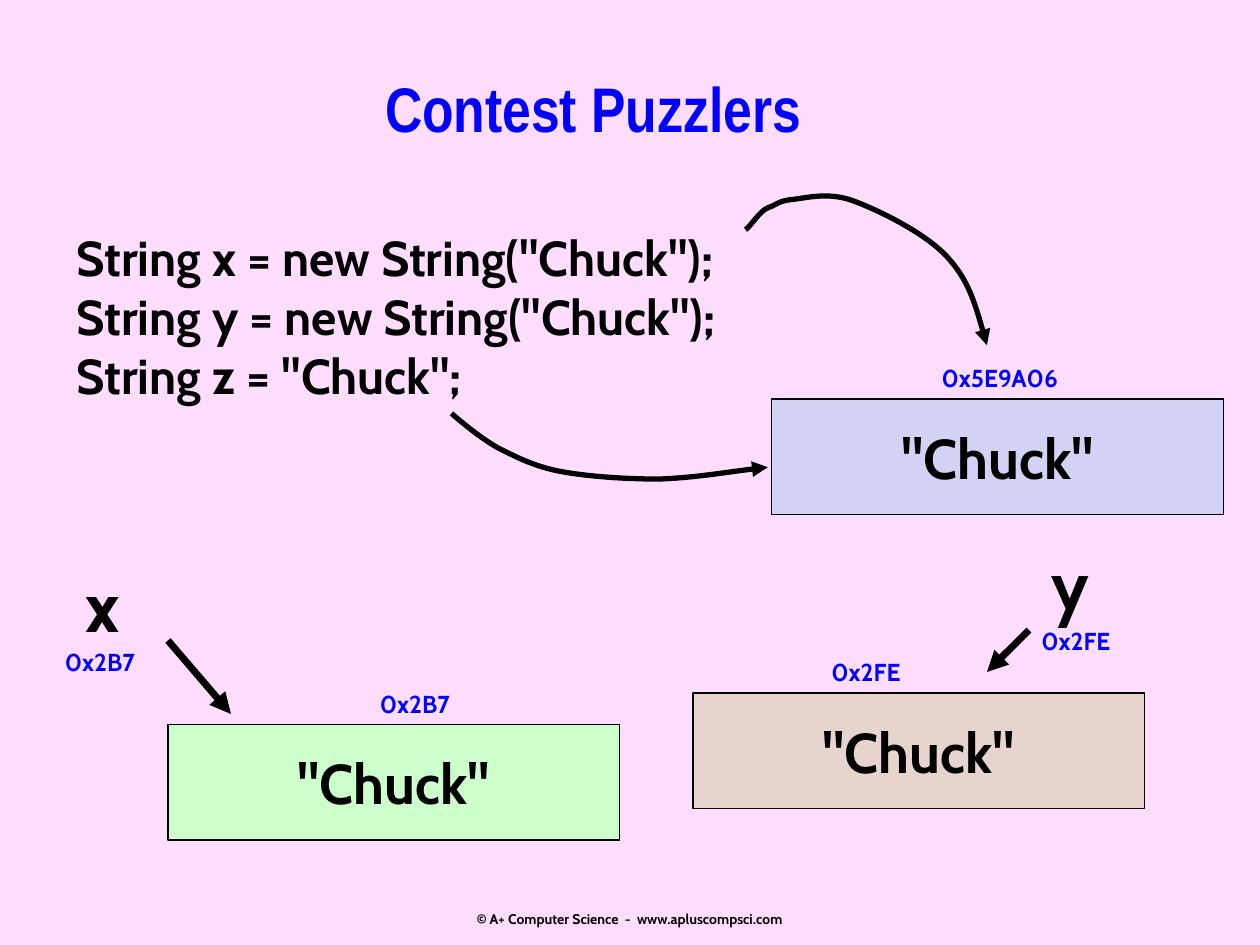
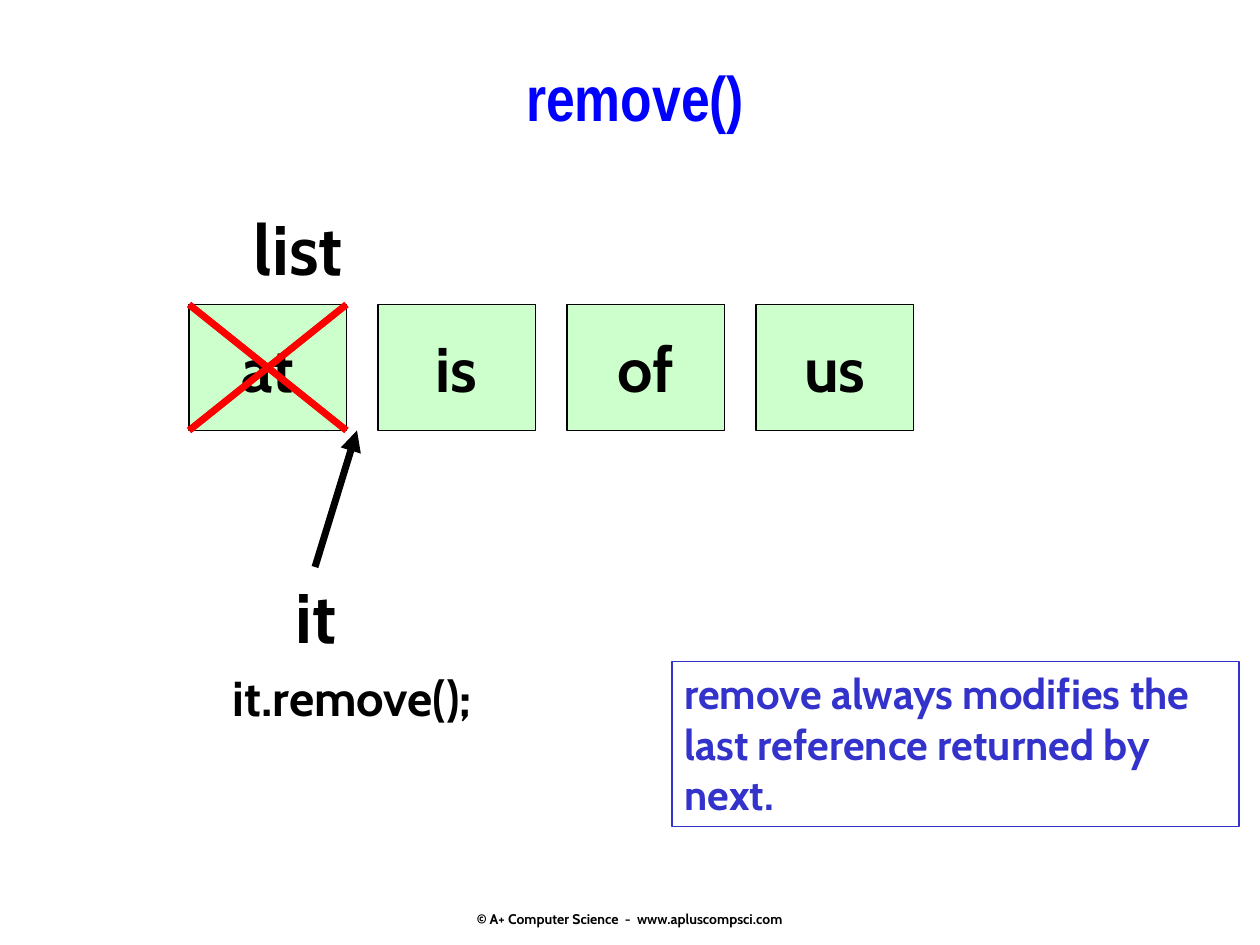
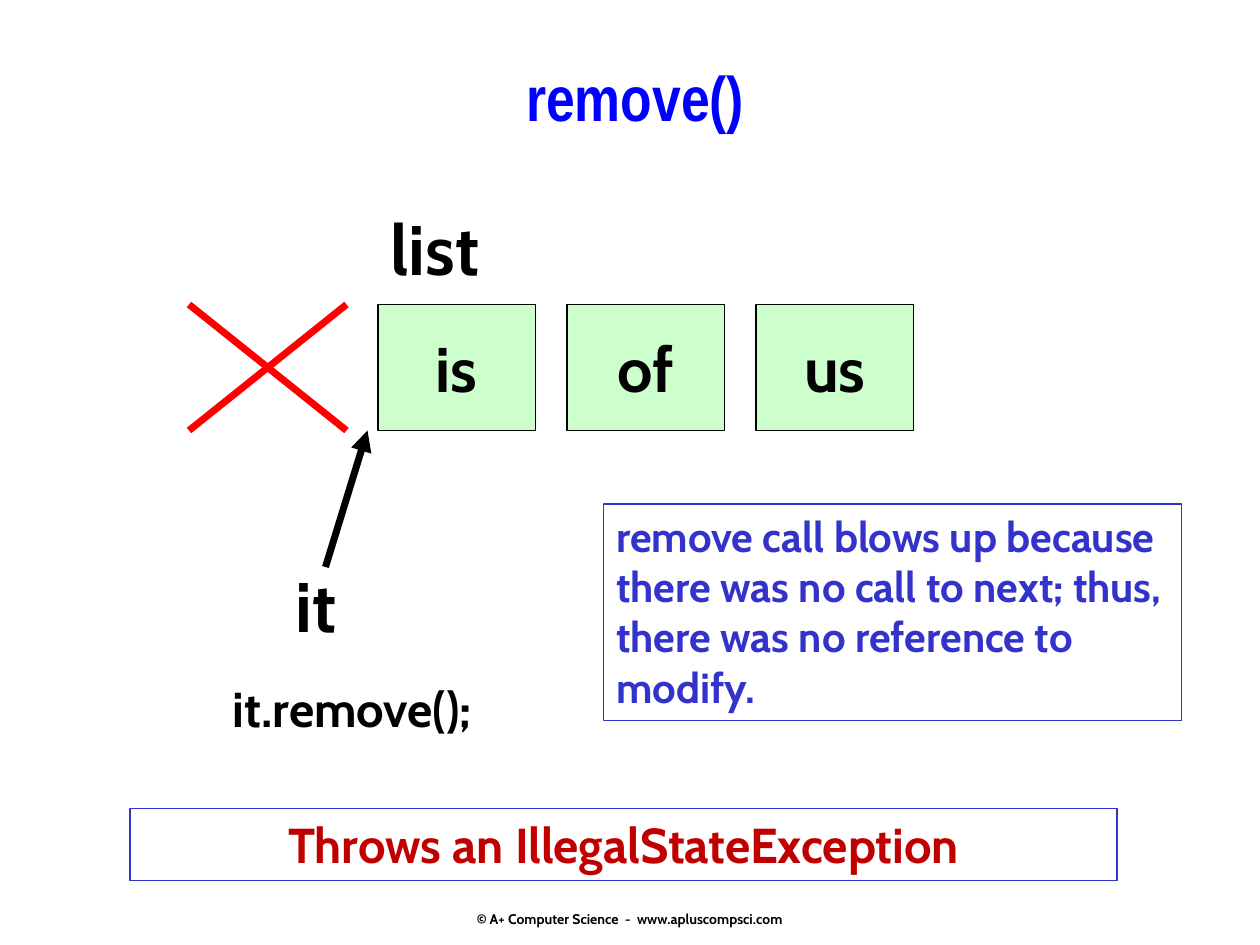
"""Build three slides about String references and iterator remove()."""
from lxml import etree
from pptx import Presentation
from pptx.dml.color import RGBColor
from pptx.enum.shapes import MSO_CONNECTOR, MSO_SHAPE
from pptx.enum.text import MSO_ANCHOR, MSO_AUTO_SIZE, PP_ALIGN
from pptx.oxml.ns import qn
from pptx.util import Pt

PX = 9525
RECT, STRAIGHT = MSO_SHAPE.RECTANGLE, MSO_CONNECTOR.STRAIGHT
TOP, MIDDLE = MSO_ANCHOR.TOP, MSO_ANCHOR.MIDDLE
LEFT, CENTER = PP_ALIGN.LEFT, PP_ALIGN.CENTER
FIXED = MSO_AUTO_SIZE.NONE

BLACK = RGBColor(0x00, 0x00, 0x00)
WHITE = RGBColor(0xFF, 0xFF, 0xFF)
PINK = RGBColor(0xFF, 0xDD, 0xFF)
BLUE = RGBColor(0x00, 0x00, 0xFF)
INDIGO = RGBColor(0x33, 0x33, 0xCC)
RED = RGBColor(0xFF, 0x00, 0x00)
DARK_RED = RGBColor(0xC0, 0x00, 0x00)
LAVENDER = RGBColor(0xD2, 0xD2, 0xF4)
TAN = RGBColor(0xE8, 0xD4, 0xCE)
GREEN = RGBColor(0xCC, 0xFF, 0xCC)

FOOTER = "© A+ Computer Science  -  www.apluscompsci.com"
PITCH, CELL_W, CELL_TOP, CELL_H = 144, 120, 232, 96


def fmt(obj, **values):
    for name, value in values.items():
        setattr(obj, name, value)


class Deck:
    def __init__(self):
        self.prs = Presentation()
        fmt(self.prs, slide_width=960 * PX, slide_height=720 * PX)
        self.s = None

    def slide(self, title, box, background):
        self.s = self.prs.slides.add_slide(self.prs.slide_layouts[5])
        fill = self.s.background.fill
        fill.solid()
        fill.fore_color.rgb = background
        sp = self.s.shapes.title
        x, y, w, h = (n * PX for n in box)
        fmt(sp, left=x, top=y, width=w, height=h)
        self.set_text(sp, title, 36, BLUE, CENTER, TOP, False, "Arial Narrow")
        self.text(FOOTER, (328, 688, 304, 24), 8, align=CENTER, anchor=MIDDLE, wrap=False)

    def set_text(self, sp, text, size, color, align, anchor, wrap, font="Cabin"):
        tf = sp.text_frame
        fmt(tf, text=text, auto_size=FIXED, word_wrap=wrap, vertical_anchor=anchor)
        for p in tf.paragraphs:
            p.alignment = align
            for r in p.runs:
                fmt(r.font, name=font, size=Pt(size), bold=True)
                r.font.color.rgb = color

    def text(self, text, box, size, color=BLACK, align=LEFT, anchor=TOP, wrap=True):
        sp = self.s.shapes.add_textbox(*(n * PX for n in box))
        self.set_text(sp, text, size, color, align, anchor, wrap)

    def label(self, text, x, y, w):
        self.text(text, (x, y, w, 74), 40, wrap=False)

    def address(self, text, x, y, w=88):
        self.text(text, (x, y, w, 32), 14, BLUE)

    def rect(self, box, line):
        sp = self.s.shapes.add_shape(RECT, *(n * PX for n in box))
        sp.shadow.inherit = False
        self.stroke(sp, line, 0.75)
        return sp

    def box(self, text, box, size, fill):
        sp = self.rect(box, BLACK)
        sp.fill.solid()
        sp.fill.fore_color.rgb = fill
        self.set_text(sp, text, size, BLACK, CENTER, MIDDLE, False)

    def note(self, text, box, size=24, color=INDIGO, align=LEFT):
        sp = self.rect(box, INDIGO)
        sp.fill.background()
        self.set_text(sp, text, size, color, align, TOP, True)

    def stroke(self, sp, color, width, arrow=False):
        sp.line.color.rgb = color
        sp.line.width = Pt(width)
        if arrow:
            ln = sp._element.spPr.find(qn("a:ln"))
            etree.SubElement(ln, qn("a:tailEnd"), type="triangle")

    def line(self, start, end, color=BLACK, arrow=True):
        sp = self.s.shapes.add_connector(STRAIGHT, *(n * PX for n in start + end))
        self.stroke(sp, color, 4, arrow)
        etree.SubElement(sp._element.spPr, qn("a:effectLst"))

    def curve(self, start, points):
        builder = self.s.shapes.build_freeform(*start, scale=PX)
        builder.add_line_segments(points, close=False)
        sp = builder.convert_to_shape()
        sp.shadow.inherit = False
        sp.fill.background()
        self.stroke(sp, BLACK, 3, True)
        route = next(sp._element.iter(qn("a:path")))
        segments = route.findall(qn("a:lnTo"))
        for i in range(0, len(segments), 3):
            bezier = etree.SubElement(route, qn("a:cubicBezTo"))
            for segment in segments[i:i + 3]:
                bezier.append(segment[0])
                route.remove(segment)

    def cells(self, words, first):
        for col, word in enumerate(words, first):
            self.box(word, (col * PITCH, CELL_TOP, CELL_W, CELL_H), 36, GREEN)

    def cross(self):
        left, right, bottom = PITCH, PITCH + CELL_W, CELL_TOP + CELL_H
        self.line((left, CELL_TOP), (right, bottom), RED, False)
        self.line((right, CELL_TOP), (left, bottom), RED, False)


def puzzlers(d):
    d.slide("Contest Puzzlers", (112, 48, 680, 80), PINK)
    d.text('String x = new String("Chuck");\nString y = new String("Chuck");\n'
           'String z = "Chuck";', (49, 169, 629, 145), 28)
    for x, y, fill in ((588, 304, LAVENDER), (528, 528, TAN), (128, 552, GREEN)):
        d.box('"Chuck"', (x, y, 344, 88), 32, fill)
    d.address("0x5E9A06", 708, 272, 140)
    for text, x, y in (("0x2B7", 40, 488), ("0x2B7", 280, 520),
                       ("0x2FE", 784, 472), ("0x2FE", 624, 496)):
        d.address(text, x, y)
    d.label("x", 56, 424, 52)
    d.label("y", 792, 408, 50)
    d.line((128, 488), (176, 544))
    d.line((784, 480), (752, 512))
    d.curve((568, 175), [
        (571, 174), (579, 160), (586, 158), (592, 156), (593, 153), (604, 152),
        (614, 151), (631, 146), (650, 153), (669, 160), (704, 177), (721, 195),
        (738, 213), (745, 238), (752, 263)])
    d.curve((344, 315), [
        (351, 321), (365, 333), (379, 341), (393, 348), (406, 355), (426, 359),
        (447, 363), (476, 365), (502, 365), (529, 364), (558, 359), (585, 356)])


def removal(d, words, first, list_x, it_y, arrow_x, call_y):
    d.slide("remove()", (152, 40, 664, 56), WHITE)
    d.label("list", list_x, 152, 102)
    d.cells(words, first)
    d.cross()
    d.label("it", 216, it_y, 58)
    d.line((arrow_x, 432), (arrow_x + 32, 328))
    d.text("it.remove();", (168, call_y, 688, 54), 28)


def main():
    d = Deck()
    puzzlers(d)
    removal(d, ("at", "is", "of", "us"), 1, 184, 432, 240, 504)
    d.note("remove always modifies the last reference returned by next.",
           (512, 504, 432, 126))
    removal(d, ("is", "of", "us"), 2, 288, 424, 248, 512)
    d.note("remove call blows up because there was no call to next; thus, "
           "there was no reference to modify.", (460, 384, 440, 165))
    d.note("Throws an IllegalStateException", (99, 616, 752, 55), 28, DARK_RED, CENTER)
    d.prs.save("out.pptx")


if __name__ == "__main__":
    main()
